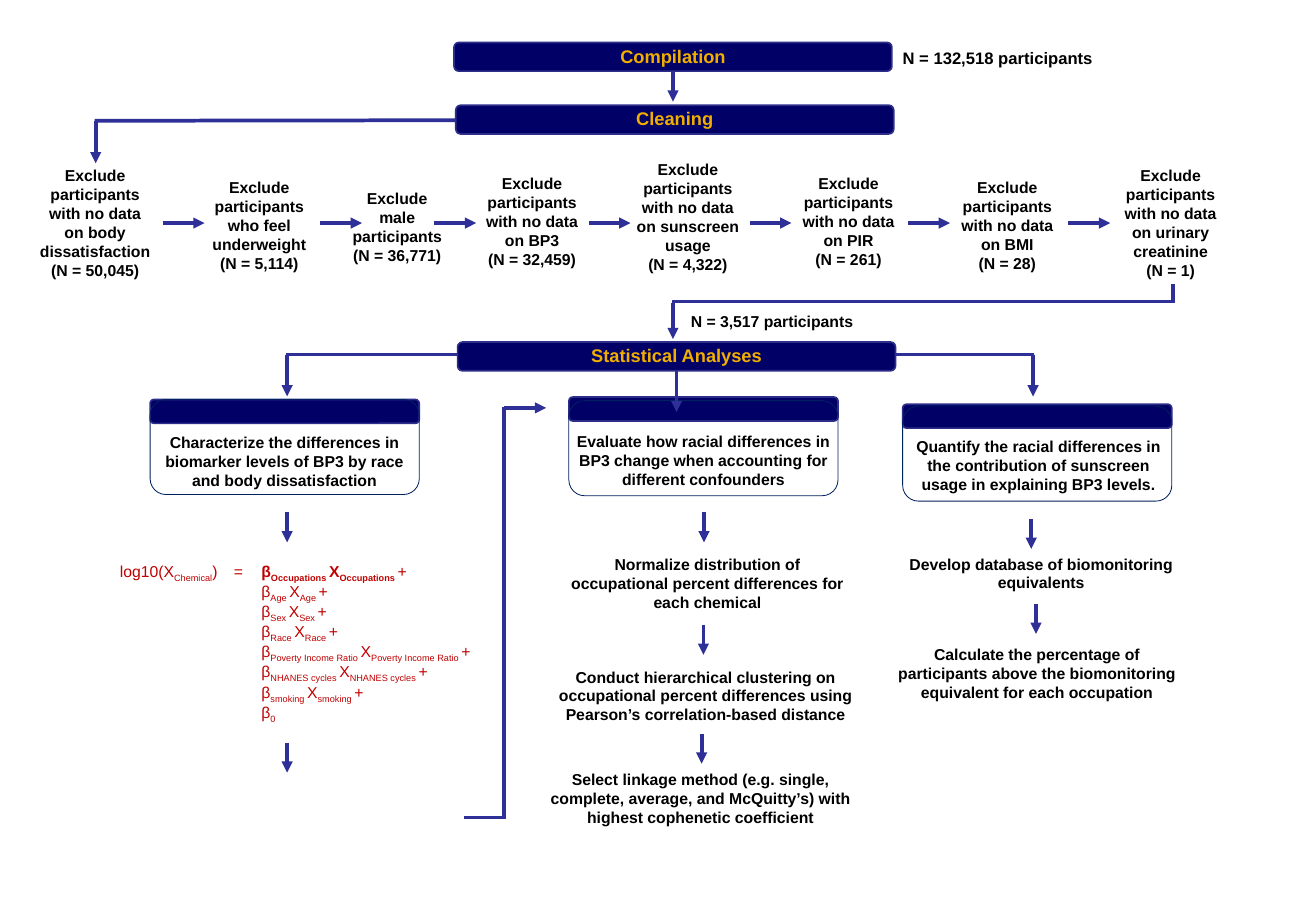
from dataclasses import dataclass

from lxml import etree
from pptx import Presentation
from pptx.dml.color import RGBColor
from pptx.enum import shapes, text
from pptx.oxml import ns
from pptx.util import Inches, Pt


@dataclass(frozen=True)
class Theme:
    font: str = "Arial"
    ink: str = "000000"
    gold: str = "F0AF00"
    red: str = "C00000"
    navy: str = "000066"
    edge: str = "2D2D8A"
    frame: str = "002060"
    arrow: str = "2F2F98"
    title: int = 22
    count: int = 20
    body: int = 19
    thick: float = 4.5


THEME = Theme()
CENTER = text.PP_ALIGN.CENTER

# left, top, width, height, paragraphs
STEPS = [
    (0.52, 2.72, 2.14, 2.02, ["Exclude participants with no data",
                              "on body dissatisfaction", "(N = 50,045)"]),
    (2.95, 2.92, 2.77, 1.70, ["Exclude participants", "who feel underweight", "(N = 5,114)"]),
    (5.75, 3.11, 1.78, 1.38, ["Exclude male participants", "(N = 36,771)"]),
    (8.01, 2.86, 1.77, 1.70, ["Exclude participants with no data on BP3", "(N = 32,459)"]),
    (10.37, 2.63, 2.26, 2.02, ["Exclude participants with no data",
                               "on sunscreen usage", "(N = 4,322)"]),
    (13.28, 2.86, 1.81, 1.70, ["Exclude participants with no data", "on PIR", "(N = 261)"]),
    (15.90, 2.92, 1.88, 1.70, ["Exclude participants with no data", "on BMI", "(N = 28)"]),
    (18.55, 2.72, 2.04, 2.02, ["Exclude participants with no data",
                               "on urinary creatinine", "(N = 1)"]),
]
STEP_ARROWS = [2.72, 5.35, 7.26, 9.84, 12.53, 15.18, 17.86]

# card left, bar top, frame top, text left, text top, text width, words
CARDS = [
    (2.51, 6.68, 6.68, 2.40, 7.19, 4.71, "Characterize the differences in biomarker levels "
     "of BP3 by race and body dissatisfaction"),
    (9.51, 6.64, 6.70, 9.51, 7.17, 4.50, "Evaluate how racial differences in BP3 change "
     "when accounting for different confounders"),
    (15.09, 6.76, 6.79, 15.11, 7.26, 4.50, "Quantify the racial differences in the "
     "contribution of sunscreen usage in explaining BP3 levels."),
]

NOTES = [
    (9.40, 9.23, 4.85, 1.06, "Normalize distribution of occupational percent differences "
     "for each chemical"),
    (9.06, 11.11, 5.47, 1.06, "Conduct hierarchical clustering on occupational percent "
     "differences using Pearson’s correlation-based distance"),
    (8.94, 12.82, 5.54, 1.06, "Select linkage method (e.g. single, complete, average, and "
     "McQuitty’s) with highest cophenetic coefficient"),
    (14.97, 9.22, 4.87, 0.74, "Develop database of biomonitoring equivalents"),
    (14.90, 10.73, 4.87, 1.06, "Calculate the percentage of participants above the "
     "biomonitoring equivalent for each occupation"),
]
DROPS = [(4.8, 8.57), (4.8, 12.42), (11.77, 8.57), (11.76, 10.45),
         (11.73, 12.27), (17.24, 8.68), (17.32, 10.1)]

TERMS = ["Occupations", "Age", "Sex", "Race", "Poverty Income Ratio",
         "NHANES cycles", "smoking"]


def add_run(para, words, size=THEME.body, color=THEME.ink, bold=True, sub=False):
    run = para.add_run()
    run.text = words
    font = run.font
    font.name, font.size, font.bold = THEME.font, Pt(size), bold
    font.color.rgb = RGBColor.from_string(color)
    if sub:
        run._r.get_or_add_rPr().set("baseline", "-25000")


def add_text(slide, left, top, width, height, lines, align=CENTER, **style):
    box = slide.shapes.add_textbox(*map(Inches, (left, top, width, height)))
    frame = box.text_frame
    frame.word_wrap = True
    frame.auto_size = text.MSO_AUTO_SIZE.SHAPE_TO_FIT_TEXT
    for i, line in enumerate(lines):
        para = frame.add_paragraph() if i else frame.paragraphs[0]
        para.alignment = align
        add_run(para, line, **style)


def add_box(slide, left, top, width, height, fill, edge, weight):
    box = slide.shapes.add_shape(shapes.MSO_SHAPE.ROUNDED_RECTANGLE,
                                 *map(Inches, (left, top, width, height)))
    box.shadow.inherit = False
    if fill:
        box.fill.solid()
        box.fill.fore_color.rgb = RGBColor.from_string(fill)
    else:
        box.fill.background()
    box.line.color.rgb = RGBColor.from_string(edge)
    box.line.width = Pt(weight)
    return box


def add_bar(slide, left, top, words):
    bar = add_box(slide, left, top, 7.32, 0.48, THEME.navy, THEME.edge, 2)
    add_text(slide, left, top - 0.01, 7.32, 0.47, [words],
             size=THEME.title, color=THEME.gold)
    return bar


def add_card(slide, left, top, frame, inset, head, width, words):
    add_box(slide, left, top, 4.5, 0.4, THEME.navy, THEME.edge, 2)
    add_text(slide, inset, head, width, 1.06, [words])
    add_box(slide, left, frame, 4.5, 1.59, None, THEME.frame, 1)


def add_line(slide, x1, y1, x2, y2, head=True, source=None):
    """Draw a line, with an arrowhead or from the bottom of source if asked."""
    line = slide.shapes.add_connector(shapes.MSO_CONNECTOR.STRAIGHT,
                                      *map(Inches, (x1, y1, x2, y2)))
    if source is not None:
        line.begin_connect(source, 2)
    line.line.color.rgb = RGBColor.from_string(THEME.arrow)
    line.line.width = Pt(THEME.thick)
    if head:
        etree.SubElement(line.line._get_or_add_ln(), ns.qn("a:tailEnd"), type="triangle")
    etree.SubElement(line._element.spPr, ns.qn("a:effectLst"))


def add_model(slide):
    """Set the regression formula in a one-row table."""
    table = slide.shapes.add_table(1, 3, *map(Inches, (1.6, 9.37, 6.99, 2.63))).table
    table.first_row = table.horz_banding = False
    for col, width in zip(table.columns, (2.21, 0.46, 4.32)):
        col.width = Inches(width)
    for cell in table.iter_cells():
        cell.fill.background()
    left, mid, right = (cell.text_frame for cell in table.iter_cells())

    def put(para, words, bold=False, sub=False):
        add_run(para, words, color=THEME.red, bold=bold, sub=sub)

    para = left.paragraphs[0]
    para.alignment = text.PP_ALIGN.RIGHT
    put(para, "log10(X")
    put(para, "Chemical", sub=True)
    put(para, ") ")
    put(mid.paragraphs[0], "=")
    for i, term in enumerate(TERMS):
        para = right.add_paragraph() if i else right.paragraphs[0]
        for sign in ("β", "X"):
            put(para, sign, bold=i == 0)
            put(para, term + " ", bold=i == 0, sub=True)
        put(para, "+")
    para = right.add_paragraph()
    put(para, "β")
    put(para, "0", sub=True)


def main():
    deck = Presentation()
    deck.slide_width, deck.slide_height = Inches(22), Inches(15)
    slide = deck.slides.add_slide(deck.slide_layouts[6])

    # Lines that run behind the bars
    add_line(slide, 4.78, 5.93, 17.28, 5.93, head=False)
    add_line(slide, 1.58, 2.02, 14.9, 2, head=False)

    start = add_bar(slide, 7.59, 0.71, "Compilation")
    add_bar(slide, 7.62, 1.76, "Cleaning")
    stats = add_bar(slide, 7.65, 5.72, "Statistical Analyses")
    add_text(slide, 14.99, 0.75, 3.38, 0.44, ["N = 132,518 participants"],
             align=text.PP_ALIGN.LEFT, size=THEME.count)
    add_text(slide, 11.45, 5.16, 3.21, 0.42, ["N = 3,517 participants"],
             align=text.PP_ALIGN.LEFT)

    for *place, lines in STEPS:
        add_text(slide, *place, lines)
    for left in STEP_ARROWS:
        add_line(slide, left, 3.73, left + 0.7, 3.73)
    for card in CARDS:
        add_card(slide, *card)
    for *place, words in NOTES:
        add_text(slide, *place, [words])
    add_model(slide)

    add_line(slide, 11.25, 1.19, 11.25, 1.7, source=start)
    add_line(slide, 11.31, 6.2, 11.31, 6.89, source=stats)
    add_line(slide, 1.6, 2.03, 1.6, 2.73)
    for x in (4.8, 17.27):
        add_line(slide, x, 5.93, x, 6.63)
    for x, y in DROPS:
        add_line(slide, x, y, x, y + 0.5)

    # From the last exclusion back to the analyses
    add_line(slide, 19.61, 4.75, 19.61, 5.03, head=False)
    add_line(slide, 19.65, 5.04, 11.24, 5.04, head=False)
    add_line(slide, 11.25, 5.07, 11.25, 5.67)

    # From the model up to the second analysis
    add_line(slide, 7.75, 13.67, 8.45, 13.67, head=False)
    add_line(slide, 8.43, 13.7, 8.43, 6.8, head=False)
    add_line(slide, 8.43, 6.82, 9.13, 6.82)

    deck.save("out.pptx")


if __name__ == "__main__":
    main()
